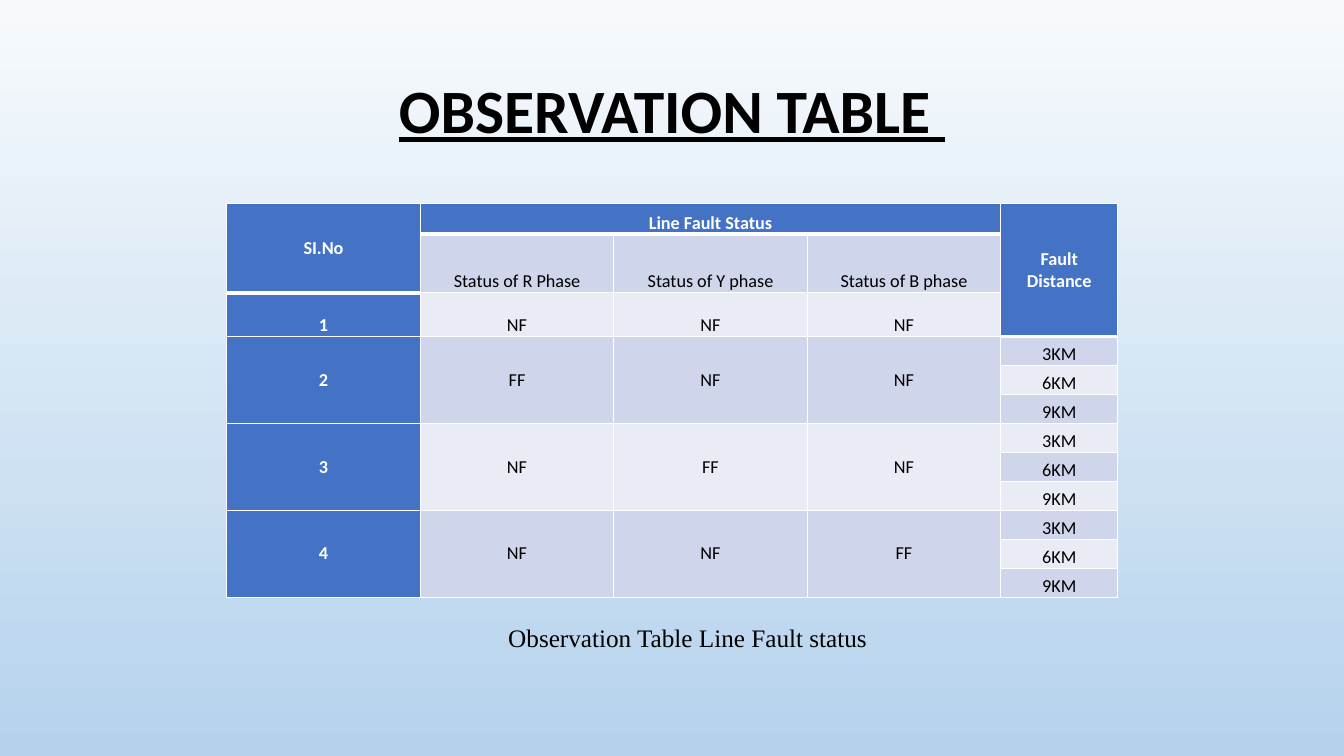
from lxml import etree
from pptx import Presentation
from pptx.dml.color import RGBColor
from pptx.enum.text import MSO_ANCHOR, PP_ALIGN
from pptx.oxml.ns import qn
from pptx.util import Pt

CENTER = PP_ALIGN.CENTER
TOP, MIDDLE, BOTTOM = MSO_ANCHOR.TOP, MSO_ANCHOR.MIDDLE, MSO_ANCHOR.BOTTOM

COLORS = {
    "sky_top": "F7FAFD",
    "sky_bottom": "B5D2EC",
    "header": "4472C4",
    "band_dark": "CFD5EA",
    "band_light": "E9EBF5",
    "white": "FFFFFF",
    "black": "000000",
}

TITLE = "OBSERVATION TABLE "
CAPTION = " Observation Table Line Fault status"
PHASES = ["Status of R Phase", "Status of Y phase", "Status of B phase"]
NO_FAULT = ("1", ["NF", "NF", "NF"])
FAULTS = [
    ("2", ["FF", "NF", "NF"]),
    ("3", ["NF", "FF", "NF"]),
    ("4", ["NF", "NF", "FF"]),
]
DISTANCES = ["3KM", "6KM", "9KM"]

TABLE_LEFT, TABLE_TOP = 162, 145.6
COLUMN_WIDTHS = [138.2] * 4 + [83.7]
ROW_HEIGHTS = [21.6, 41.9, 21.6] + [20.7] * (len(FAULTS) * len(DISTANCES))
HEADER_DEPTHS = [2, 1, 1, 1, 3]  # header rows at the top of each column
DISTANCE_COLUMN = len(COLUMN_WIDTHS) - 1


def rgb(name):
    return RGBColor.from_string(COLORS[name])


def add_span(para, text, size, font, color, bold=False, underline=False):
    span = para.add_run()
    span.text = text
    span.font.size = Pt(size)
    span.font.name = font
    span.font.bold = bold
    span.font.underline = underline
    span.font.color.rgb = rgb(color)


def add_text(page, place, text, anchor, spacing, **style):
    box = page.shapes.add_textbox(*(Pt(length) for length in place))
    box.text_frame.word_wrap = True
    box.text_frame.vertical_anchor = anchor
    para = box.text_frame.paragraphs[0]
    para.alignment = CENTER
    para.line_spacing = spacing
    add_span(para, text, color="black", **style)


def table_cells():
    """Return (row, column, row span, column span, text) for each visible cell."""
    cells = [
        (0, 0, 2, 1, "SI.No"),
        (0, 1, 1, 3, "Line Fault Status"),
        (0, DISTANCE_COLUMN, 3, 1, "Fault Distance"),
    ]
    cells += [(1, column, 1, 1, phase) for column, phase in enumerate(PHASES, 1)]
    number, states = NO_FAULT
    cells += [(2, column, 1, 1, text) for column, text in enumerate([number, *states])]
    step = len(DISTANCES)
    for index, (number, states) in enumerate(FAULTS):
        top = 3 + index * step
        cells += [(top, column, step, 1, text) for column, text in enumerate([number, *states])]
        cells += [(top + offset, DISTANCE_COLUMN, 1, 1, text)
                  for offset, text in enumerate(DISTANCES)]
    return cells


def set_borders(cell, top, bottom):
    properties = cell._tc.get_or_add_tcPr()
    for side, width in (("L", 1), ("R", 1), ("T", top), ("B", bottom)):
        line = etree.SubElement(properties, qn(f"a:ln{side}"), w=str(Pt(width)))
        fill = etree.SubElement(line, qn("a:solidFill"))
        etree.SubElement(fill, qn("a:srgbClr"), val=COLORS["white"])


def paint_cell(cell, row, column):
    depth = HEADER_DEPTHS[column]
    set_borders(cell, 3 if row == depth else 1, 3 if row < depth else 1)
    if column == 0 or row < depth:
        color = "header"
    else:
        color = "band_dark" if row % 2 else "band_light"
    cell.fill.solid()
    cell.fill.fore_color.rgb = rgb(color)
    cell.margin_left = cell.margin_right = Pt(5)
    cell.margin_top = cell.margin_bottom = 0


def add_observations(page):
    frame = page.shapes.add_table(
        len(ROW_HEIGHTS), len(COLUMN_WIDTHS), Pt(TABLE_LEFT), Pt(TABLE_TOP),
        Pt(sum(COLUMN_WIDTHS)), Pt(sum(ROW_HEIGHTS)))
    table = frame.table
    for column, width in enumerate(COLUMN_WIDTHS):
        table.columns[column].width = Pt(width)
    for row, height in enumerate(ROW_HEIGHTS):
        table.rows[row].height = Pt(height)
        for column in range(len(COLUMN_WIDTHS)):
            paint_cell(table.cell(row, column), row, column)
    for row, column, row_span, column_span, text in table_cells():
        cell = table.cell(row, column)
        if row_span * column_span > 1:
            cell.merge(table.cell(row + row_span - 1, column + column_span - 1))
        cell.vertical_anchor = MIDDLE if row_span > 1 else BOTTOM
        para = cell.text_frame.paragraphs[0]
        para.alignment = CENTER
        heading = column == 0 or row < HEADER_DEPTHS[column]
        add_span(para, text, 13, "Calibri", "white" if heading else "black", bold=heading)


def main():
    deck = Presentation()
    deck.slide_width, deck.slide_height = Pt(960), Pt(540)
    page = deck.slides.add_slide(deck.slide_layouts[6])
    sky = page.background.fill
    sky.gradient()
    sky.gradient_angle = 270
    for stop, color in zip(sky.gradient_stops, ("sky_top", "sky_bottom")):
        stop.color.rgb = rgb(color)
    add_text(page, (66, 28.75, 828, 104.4), TITLE, MIDDLE, 0.9,
             size=44, font="Calibri", bold=True, underline=True)
    add_observations(page)
    add_text(page, (249, 430, 480, 36), CAPTION, TOP, 1.5,
             size=18, font="Times New Roman")
    deck.save("out.pptx")


if __name__ == "__main__":
    main()
